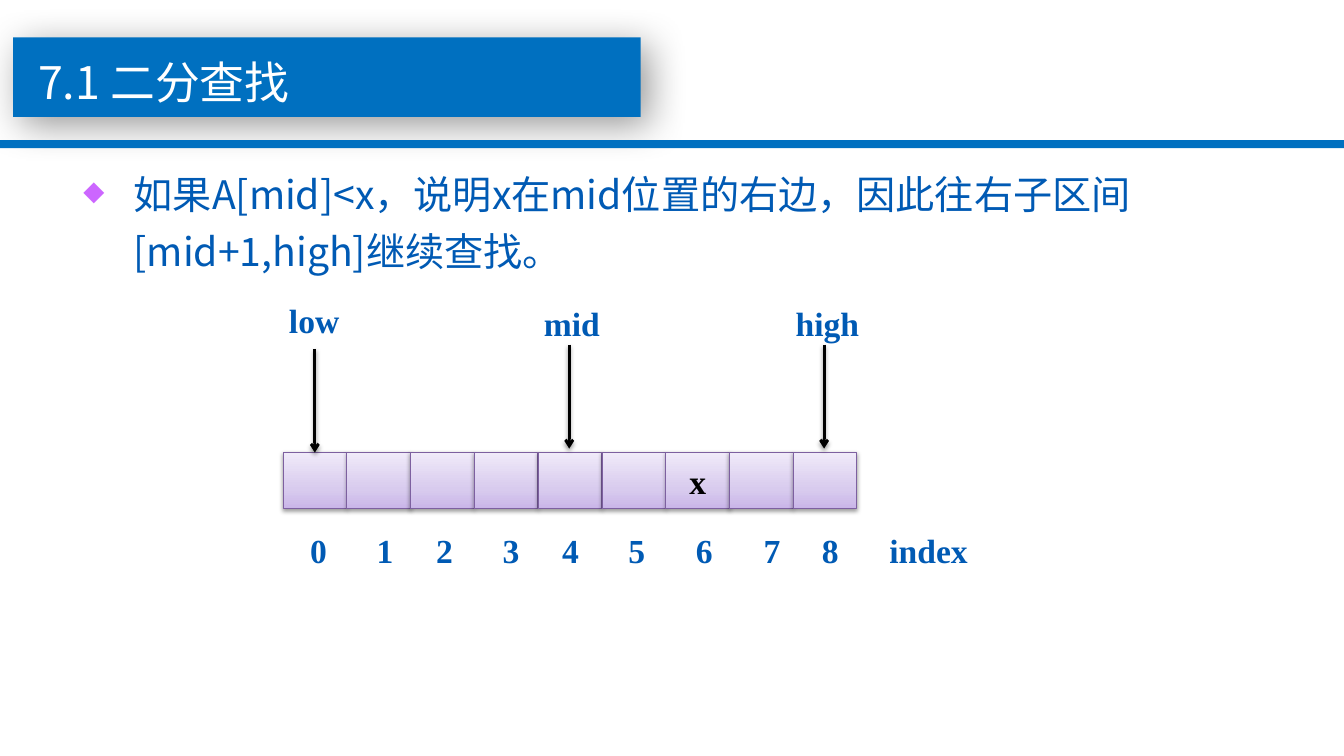
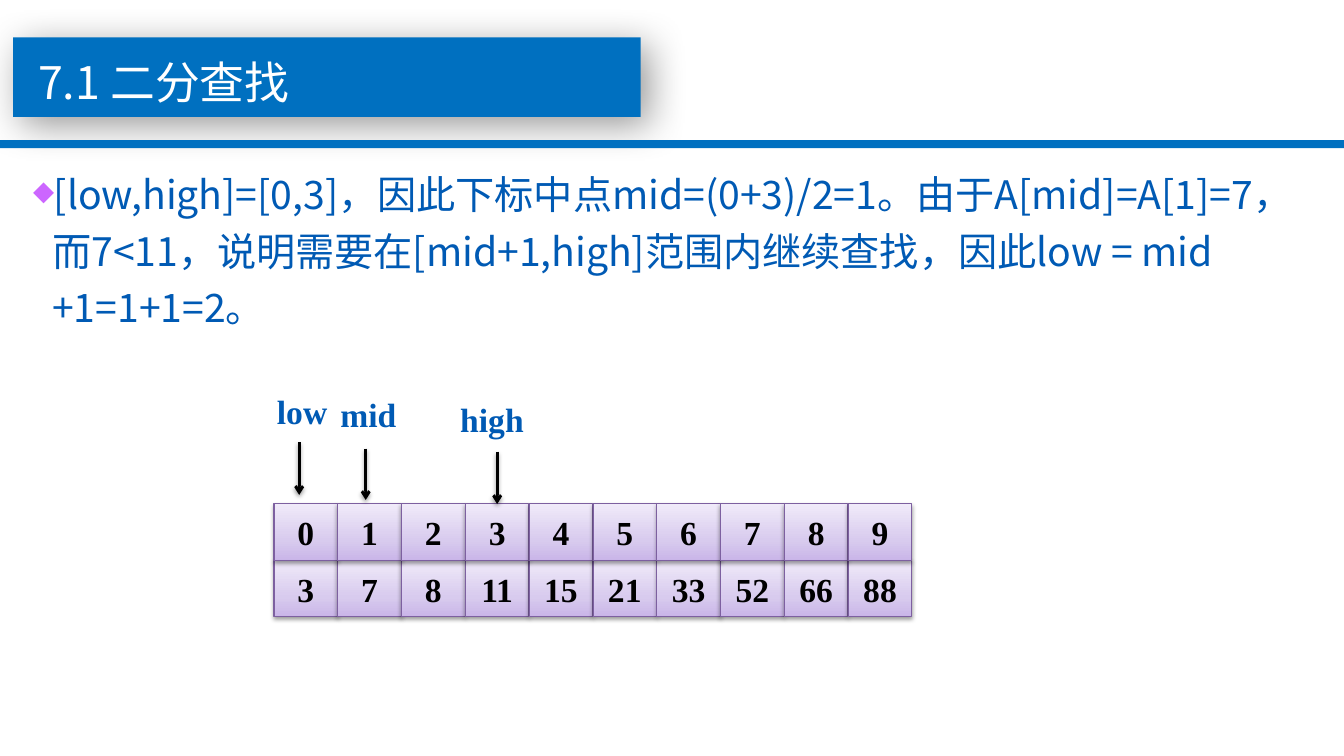
from pptx import Presentation
from pptx.dml.color import RGBColor
from pptx.enum.shapes import MSO_CONNECTOR as Link, MSO_SHAPE as Preset
from pptx.enum.text import MSO_ANCHOR as Anchor, MSO_AUTO_SIZE as AutoSize, PP_ALIGN as Align
from pptx.oxml import parse_xml
from pptx.oxml.ns import nsdecls
from pptx.util import Inches, Pt

NS = nsdecls("a")
CELL_WIDTH, CELL_HEIGHT = 0.63, 0.56
CELL_PITCH = 5.7 / 9


def rgb(value):
    """Turn a hex string into a colour."""
    return RGBColor.from_string(value)


class Deck:
    """Hold the shared style and the current slide."""

    BLUE, INK, BULLET = "0070C0", "005AB4", "CC66FF"
    BLACK, WHITE, CELL_LINE = "000000", "FFFFFF", "7D60A0"
    CELL_STOPS = ((0, "C9B5E8"), (35, "D8CBEE"), (100, "F0EAF9"))
    SANS, SERIF = "Noto Sans CJK SC", "Times New Roman"
    SOFT_SHADOW = (38, 3.1, 1.6, 90)
    TITLE_SHADOW = (40, 28, 8, 45)

    def __init__(self):
        """Start an empty wide presentation."""
        self.prs = Presentation()
        self.prs.slide_width, self.prs.slide_height = Inches(13.34), Inches(7.5)
        self.slide = None

    def new_slide(self, title):
        """Add a slide with the title band, the rule and the title."""
        self.slide = self.prs.slides.add_slide(self.prs.slide_layouts[6])
        self.band(0.13, 0.37, 6.23, 0.79, self.TITLE_SHADOW)
        self.band(0, 1.39, 13.34, 0.08)
        heading = self.text_box(0.28, 0.28, 5.51, 0.77)
        heading.line_spacing = 1.4
        self.add_text(heading, title, 32, self.SANS, self.WHITE)

    def rect(self, left, top, width, height):
        """Add a plain rectangle."""
        return self.slide.shapes.add_shape(
            Preset.RECTANGLE, Inches(left), Inches(top), Inches(width), Inches(height))

    def band(self, left, top, width, height, shadow=None):
        """Add a blue band without an outline."""
        band = self.rect(left, top, width, height)
        band.fill.solid()
        band.fill.fore_color.rgb = rgb(self.BLUE)
        band.line.fill.background()
        if shadow:
            self.cast_shadow(band, shadow)
        else:
            band.shadow.inherit = False

    def cast_shadow(self, part, shadow):
        """Give a filled and outlined part an outer shadow."""
        alpha, blur, distance, angle = shadow
        part._element.spPr.append(parse_xml(
            f'<a:effectLst {NS}><a:outerShdw blurRad="{Pt(blur)}" dist="{Pt(distance)}" '
            f'dir="{angle * 60000}" rotWithShape="0"><a:srgbClr val="{self.BLACK}">'
            f'<a:alpha val="{alpha * 1000}"/></a:srgbClr></a:outerShdw></a:effectLst>'))

    def text_box(self, left, top, width, height, wrap=True):
        """Add a text box and return its first paragraph."""
        frame = self.slide.shapes.add_textbox(
            Inches(left), Inches(top), Inches(width), Inches(height)).text_frame
        frame.word_wrap = wrap
        frame.auto_size = AutoSize.SHAPE_TO_FIT_TEXT
        return frame.paragraphs[0]

    def add_text(self, paragraph, text, size, face, color, bold=False):
        """Add one styled run to a paragraph."""
        run = paragraph.add_run()
        run.text = text
        run.font.size, run.font.name, run.font.bold = Pt(size), face, bold
        run.font.color.rgb = rgb(color)
        run.font._element.find("{*}latin").addnext(
            parse_xml(f'<a:ea {NS} typeface="{face}"/>'))

    def statement(self, text, height, margin):
        """Add the bulleted statement under the title."""
        statement = self.text_box(0.23, 1.55, 12.74, height)
        statement.line_spacing = 1.2
        props = statement._p.get_or_add_pPr()
        props.set("marL", str(Inches(margin)))
        props.set("indent", str(Inches(-0.5)))
        for bullet in (f'<a:buClr {NS}><a:srgbClr val="{self.BULLET}"/></a:buClr>',
                       f'<a:buSzPct {NS} val="70000"/>',
                       f'<a:buChar {NS} char="◆"/>'):
            props.append(parse_xml(bullet))
        self.add_text(statement, text, 28, self.SANS, self.INK)

    def cell(self, left, top, value):
        """Add one array cell."""
        cell = self.rect(left, top, CELL_WIDTH, CELL_HEIGHT)
        cell.fill.gradient()
        cell.fill.gradient_angle = 90
        stops = cell._element.spPr.find("{*}gradFill/{*}gsLst")
        for stop in list(stops):
            stops.remove(stop)
        for position, color in self.CELL_STOPS:
            stops.append(parse_xml(
                f'<a:gs {NS} pos="{position * 1000}"><a:srgbClr val="{color}"/></a:gs>'))
        cell.line.color.rgb = rgb(self.CELL_LINE)
        cell.line.width = Pt(0.75)
        self.cast_shadow(cell, self.SOFT_SHADOW)
        if value:
            cell.text_frame.vertical_anchor = Anchor.MIDDLE
            paragraph = cell.text_frame.paragraphs[0]
            paragraph.alignment = Align.CENTER
            self.add_text(paragraph, value, 24, self.SERIF, self.BLACK, True)
        return cell

    def array(self, left, top, values):
        """Add a row of cells and return them."""
        return [self.cell(left + i * CELL_PITCH, top, value)
                for i, value in enumerate(values)]

    def label(self, text, left, top, width):
        """Add a pointer name."""
        self.add_text(self.text_box(left, top, width, 0.5, False),
                      text, 24, self.SERIF, self.INK, True)

    def arrow(self, x, top, bottom, target=None):
        """Add a downward arrow, joined to the top of a target cell if given."""
        center = target.left + target.width // 2 if target else Inches(x)
        arrow = self.slide.shapes.add_connector(
            Link.STRAIGHT, center, Inches(top), center, Inches(bottom))
        arrow.line.color.rgb = rgb(self.BLACK)
        arrow.line.width = Pt(2)
        arrow.line._get_or_add_ln().append(parse_xml(f'<a:tailEnd {NS} type="arrow"/>'))
        self.cast_shadow(arrow, self.SOFT_SHADOW)
        if target:
            arrow.end_connect(target, 0)

    def index_row(self, left, top, width, entries):
        """Add the index line, each entry at its own tab stop."""
        row = self.text_box(left, top, width, 0.5)
        stops = "".join(f'<a:tab pos="{Inches(stop)}" algn="l"/>' for stop, _ in entries)
        row._p.get_or_add_pPr().append(parse_xml(f'<a:tabLst {NS}>{stops}</a:tabLst>'))
        for _, entry in entries:
            self.add_text(row, "\t" + entry, 24, self.SERIF, self.INK, True)


def main():
    """Build both slides and save them."""
    deck = Deck()
    title = "7.1 二分查找"

    deck.new_slide(title)
    deck.statement("如果A[mid]<x，说明x在mid位置的右边，因此往右子区间[mid+1,high]继续查找。", 1.18, 1)
    cells = deck.array(2.81, 4.49, [""] * 6 + ["x", "", ""])
    index_stops = (0.17, 0.83, 1.42, 2.08, 2.67, 3.33, 4, 4.67, 5.25, 5.92)
    deck.index_row(2.81, 5.21, 7.72, list(zip(index_stops, [*"012345678", "index"])))
    for name, left, top, width, x, start, end, target in (
            ("low", 2.77, 2.93, 0.71, 3.12, 3.46, 4.49, cells[0]),
            ("mid", 5.3, 2.96, 0.76, 5.65, 3.42, 4.45, None),
            ("high", 7.8, 2.96, 0.84, 8.18, 3.42, 4.45, None)):
        deck.label(name, left, top, width)
        deck.arrow(x, start, end, target)

    deck.new_slide(title)
    deck.statement("[low,high]=[0,3]，因此下标中点mid=(0+3)/2=1。由于A[mid]=A[1]=7，而7<11，"
                   "说明需要在[mid+1,high]范围内继续查找，因此low = mid +1=1+1=2。", 1.8, 0.19)
    deck.array(2.72, 5.56, "3 7 8 11 15 21 33 52 66 88".split())
    indices = deck.array(2.72, 5, "0123456789")
    for name, left, top, width, x, start, end, target in (
            ("low", 2.65, 3.83, 0.71, 2.97, 4.39, 4.91, None),
            ("mid", 3.28, 3.86, 0.76, 3.63, 4.45, 4.96, None),
            ("high", 4.47, 3.91, 0.84, 4.93, 4.48, 5, indices[3])):
        deck.label(name, left, top, width)
        deck.arrow(x, start, end, target)

    deck.prs.save("out.pptx")


if __name__ == "__main__":
    main()
